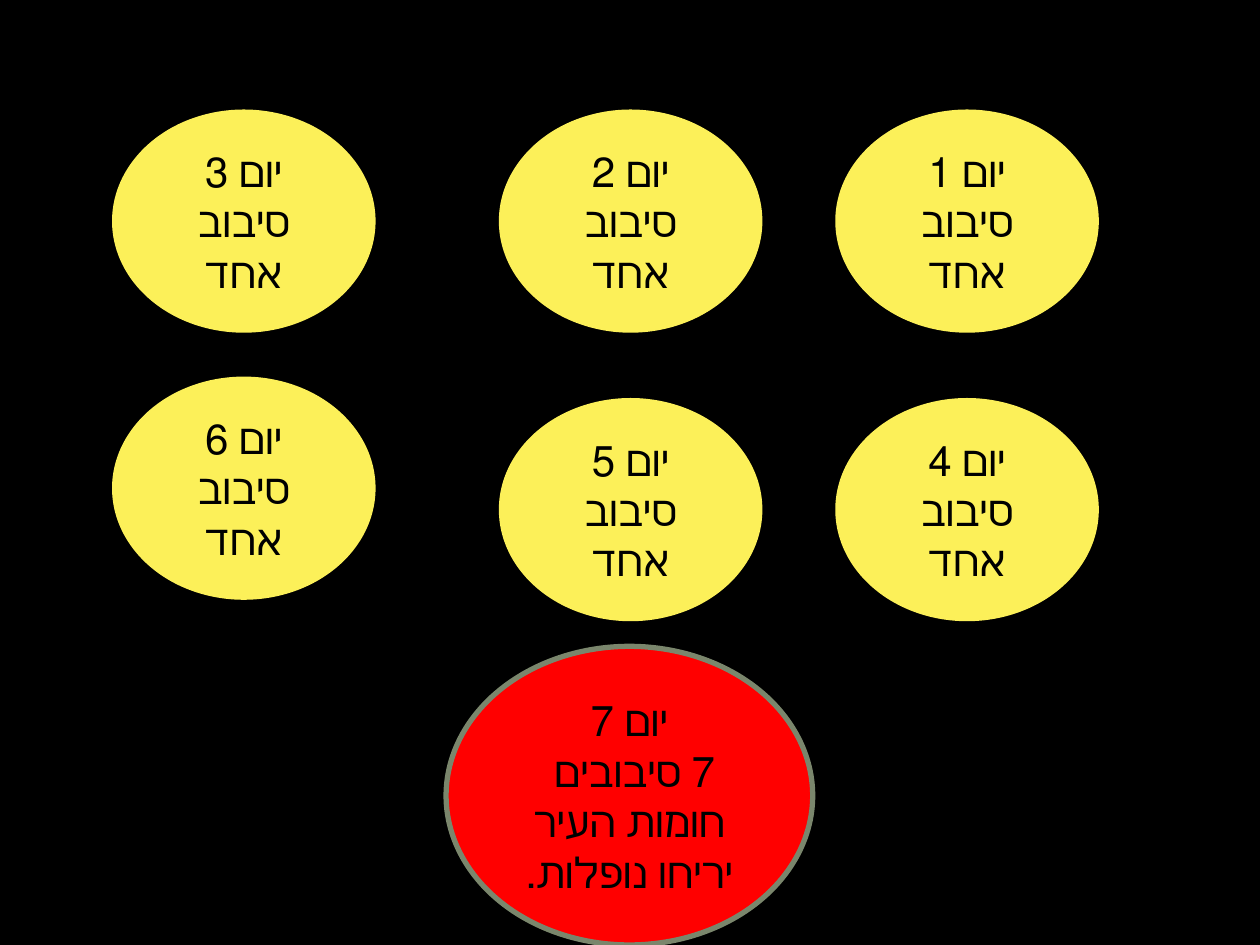
from dataclasses import dataclass

from pptx import Presentation
from pptx.dml.color import RGBColor
from pptx.enum.shapes import MSO_SHAPE
from pptx.enum.text import MSO_ANCHOR, PP_ALIGN
from pptx.util import Inches, Pt


@dataclass(frozen=True)
class Theme:
    back: str = "000000"
    ink: str = "000000"
    day: str = "FCF059"
    last: str = "FF0000"
    rim: str = "7A866C"
    font: str = "Cambria"
    size: int = 24
    line: int = 3


THEME = Theme()
LAP = "סיבוב אחד"
FINAL = ["יום 7", "7 סיבובים ", "חומות העיר יריחו נופלות."]
COLS = [6.65, 3.98, 0.91]
ROWS = [[0.89, 0.89, 0.89], [3.18, 3.18, 3.01]]
SIZE = (2.05, 1.73)
END = (3.54, 5.13, 2.91, 2.37)


def color(code):
    return RGBColor.from_string(code)


def oval(slide, box, lines, fill, rim):
    shape = slide.shapes.add_shape(MSO_SHAPE.OVAL, *map(Inches, box))
    shape.shadow.inherit = False
    shape.fill.solid()
    shape.fill.fore_color.rgb = color(fill)
    shape.line.color.rgb = color(rim)
    shape.line.width = Pt(THEME.line)
    frame = shape.text_frame
    frame.word_wrap = True
    frame.vertical_anchor = MSO_ANCHOR.MIDDLE
    frame.text = "\n".join(lines)
    for para in frame.paragraphs:
        para.alignment = PP_ALIGN.CENTER
        para._p.get_or_add_pPr().set("rtl", "1")
        para.font.name = THEME.font
        para.font.size = Pt(THEME.size)
        para.font.color.rgb = color(THEME.ink)


def main():
    """Build the slide of seven days around the walls."""
    deck = Presentation()
    deck.slide_width, deck.slide_height = Inches(10), Inches(7.5)
    slide = deck.slides.add_slide(deck.slide_layouts[6])
    slide.background.fill.solid()
    slide.background.fill.fore_color.rgb = color(THEME.back)
    for row, tops in enumerate(ROWS):
        for col, (left, top) in enumerate(zip(COLS, tops)):
            day = row * len(COLS) + col + 1
            oval(slide, (left, top, *SIZE), [f"יום {day}", LAP], THEME.day, THEME.day)
    oval(slide, END, FINAL, THEME.last, THEME.rim)
    deck.save("out.pptx")


if __name__ == "__main__":
    main()
